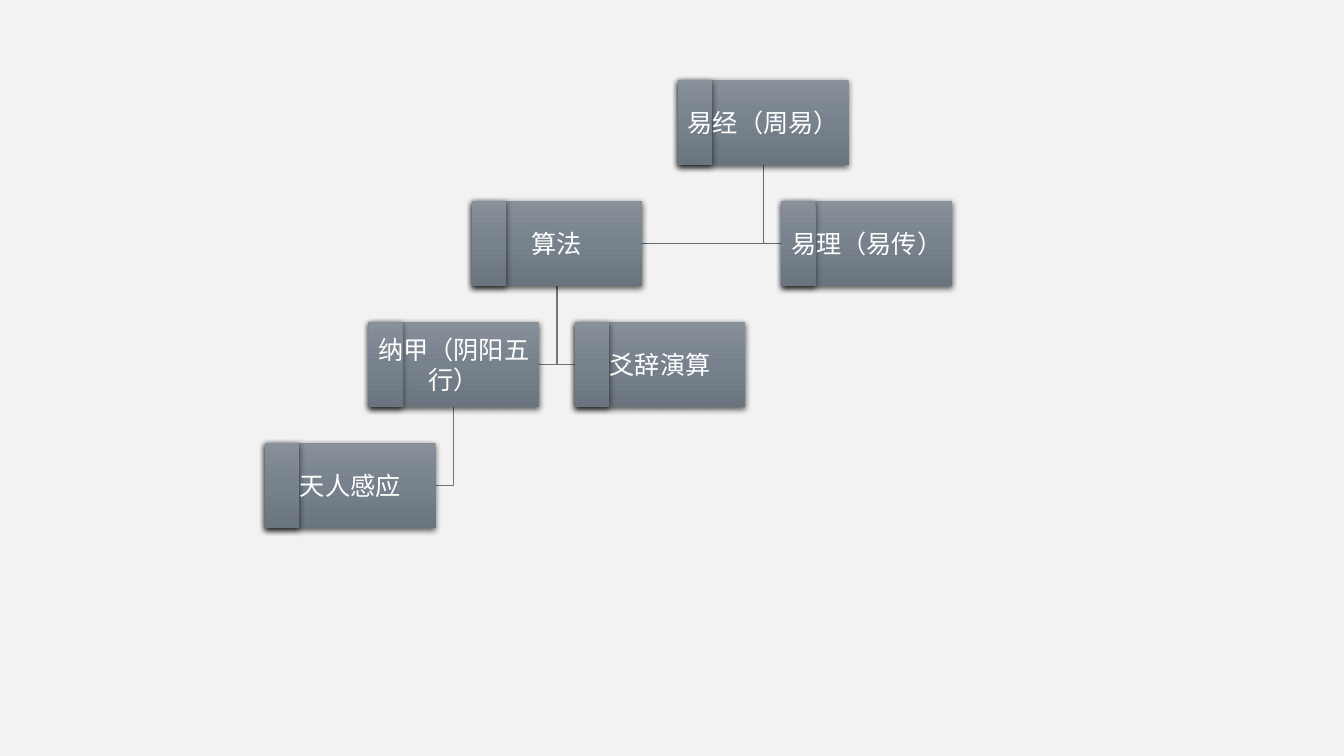
from copy import deepcopy
from lxml.etree import SubElement
from pptx import Presentation
from pptx.dml.color import RGBColor
from pptx.enum.shapes import MSO_SHAPE as Kind
from pptx.enum.text import MSO_ANCHOR as Anchor, PP_ALIGN as Align
from pptx.oxml.ns import qn
from pptx.util import Inches, Pt

PALE = RGBColor(0xF2, 0xF2, 0xF2)
WHITE = RGBColor(0xFF, 0xFF, 0xFF)
DARK = RGBColor(0x60, 0x68, 0x70)
GRAY = RGBColor(0x6D, 0x76, 0x7F)
SHADES = [
    (0, RGBColor(0x88, 0x90, 0x99)),
    (0.5, RGBColor(0x77, 0x82, 0x8D)),
    (1, RGBColor(0x69, 0x74, 0x7E)),
]
FONT = "Noto Sans CJK SC"
WIDTH, HEIGHT, STRIP = 1.69, 0.85, 0.34
LEFT, RIGHT, TOP, ROW = 2.63, 7.75, 0.79, 1.2
STEP = (RIGHT - LEFT) / 5

NODES = [
    ("易经（周易）", 4, 0),
    ("算法", 2, 1),
    ("纳甲（阴阳五行）", 1, 2),
    ("天人感应", 0, 3),
    ("爻辞演算", 3, 2),
    ("易理（易传）", 5, 1),
]
LINKS = [(0, 1, DARK), (1, 2, GRAY), (2, 3, GRAY), (1, 4, GRAY), (0, 5, DARK)]

deck = Presentation()
deck.slide_width, deck.slide_height = Inches(13.33), Inches(7.5)
slide = deck.slides.add_slide(deck.slide_layouts[6])
slide.background.fill.solid()
slide.background.fill.fore_color.rgb = PALE


def add_block(left, top, width):
    block = slide.shapes.add_shape(
        Kind.RECTANGLE, Inches(left), Inches(top), Inches(width), Inches(HEIGHT))
    block.line.fill.background()
    block.fill.gradient()
    block.fill.gradient_angle = 270
    stops = block._element.spPr.find(qn("a:gradFill")).find(qn("a:gsLst"))
    stops.insert(1, deepcopy(stops[0]))
    for stop, (place, shade) in zip(block.fill.gradient_stops, SHADES):
        stop.position = place
        stop.color.rgb = shade
    block.shadow.inherit = False
    effects = block._element.spPr.find(qn("a:effectLst"))
    shadow = SubElement(effects, qn("a:outerShdw"), blurRad=str(Pt(4.5)),
                        dist=str(Pt(1.5)), dir="5400000", algn="ctr", rotWithShape="0")
    black = SubElement(shadow, qn("a:srgbClr"), val="000000")
    SubElement(black, qn("a:alpha"), val="63000")


spots = [(LEFT + col * STEP, TOP + row * ROW) for _, col, row in NODES]

for upper, lower, color in LINKS:
    x, y = spots[upper]
    left, top = spots[lower]
    mid = x + WIDTH / 2
    side = left if left > x else left + WIDTH
    level = top + HEIGHT / 2
    elbow = slide.shapes.build_freeform(Inches(mid), Inches(y + HEIGHT))
    elbow.add_line_segments(
        [(Inches(mid), Inches(level)), (Inches(side), Inches(level))], close=False)
    link = elbow.convert_to_shape()
    link.fill.background()
    link.line.color.rgb = color
    link.line.width = Pt(1)
    link.shadow.inherit = False

for (label, _, _), (left, top) in zip(NODES, spots):
    add_block(left, top, WIDTH)
    add_block(left, top, STRIP)
    box = slide.shapes.add_textbox(
        Inches(left), Inches(top), Inches(WIDTH), Inches(HEIGHT))
    frame = box.text_frame
    frame.word_wrap = True
    frame.vertical_anchor = Anchor.MIDDLE
    frame.margin_left = frame.margin_right = Inches(0.01)
    frame.margin_top = frame.margin_bottom = Inches(0.01)
    para = frame.paragraphs[0]
    para.text = label
    para.alignment = Align.CENTER
    para.font.size = Pt(18)
    para.font.name = FONT
    para.font.color.rgb = WHITE
    SubElement(para._p.pPr.find(qn("a:defRPr")), qn("a:ea"), typeface=FONT)

deck.save("out.pptx")
